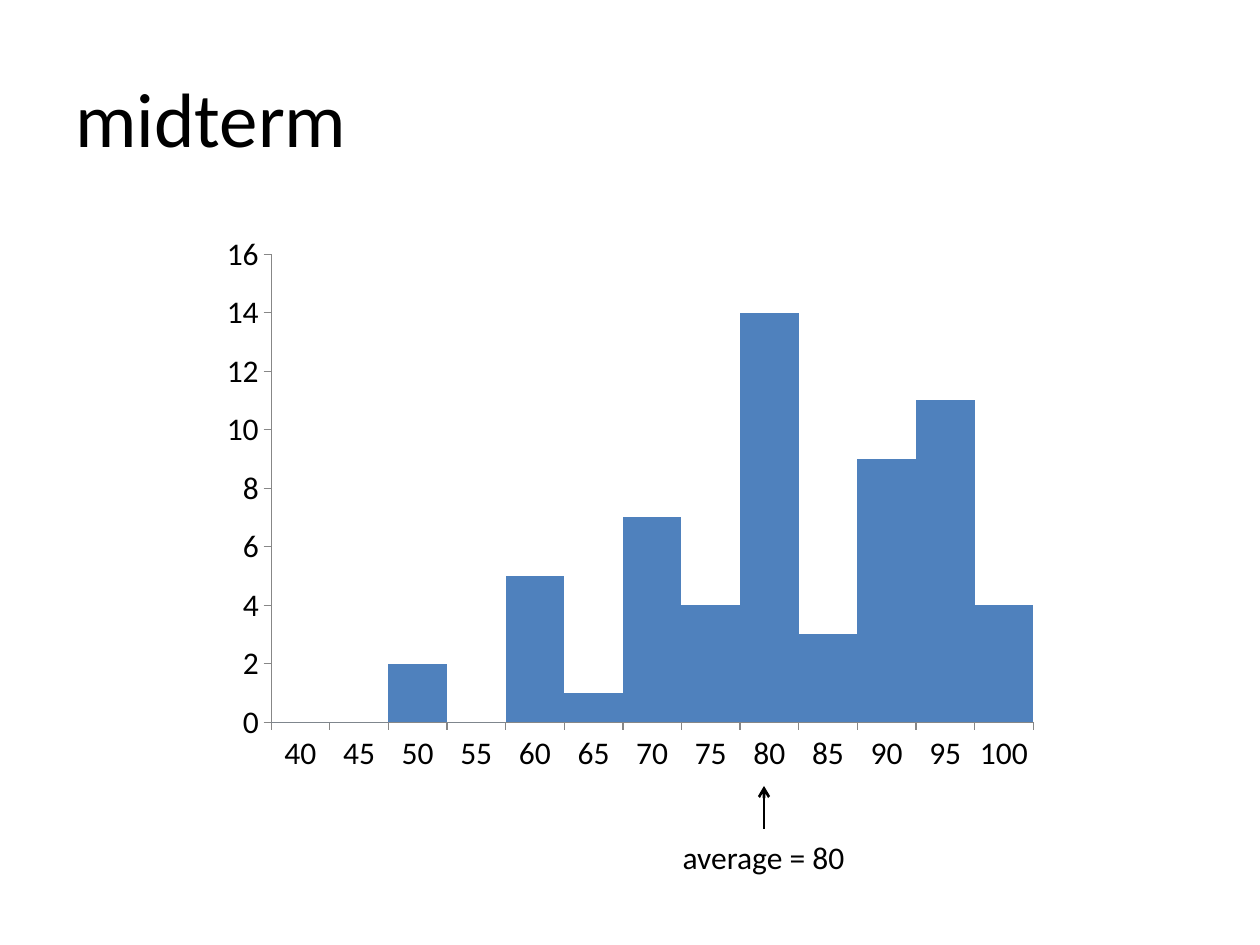
from lxml import etree
from pptx import Presentation
from pptx.chart.data import CategoryChartData
from pptx.dml.color import RGBColor
from pptx.enum.chart import XL_CHART_TYPE, XL_TICK_MARK
from pptx.enum.shapes import MSO_CONNECTOR
from pptx.enum.text import MSO_ANCHOR, PP_ALIGN
from pptx.oxml.ns import qn
from pptx.util import Emu, Pt

COLUMNS = XL_CHART_TYPE.COLUMN_CLUSTERED
TICK_OUT = XL_TICK_MARK.OUTSIDE
STRAIGHT = MSO_CONNECTOR.STRAIGHT
TOP, MIDDLE = MSO_ANCHOR.TOP, MSO_ANCHOR.MIDDLE
LEFT, CENTER = PP_ALIGN.LEFT, PP_ALIGN.CENTER

PX_PER_INCH = 126
FONT = "Calibri"
COLORS = {"text": "000000", "bars": "4F81BD", "axis": "878787"}


def px(*lengths):
    return [Emu(round(length * 914400 / PX_PER_INCH)) for length in lengths]


def style_font(font, size):
    values = {"name": FONT, "size": Pt(size), "bold": False}
    for name, value in values.items():
        setattr(font, name, value)
    font.color.rgb = RGBColor.from_string(COLORS["text"])


deck = Presentation()
deck.slide_width, deck.slide_height = px(1260, 945)
page = deck.slides.add_slide(deck.slide_layouts[6])

scores = CategoryChartData()
scores.categories = [str(score) for score in range(40, 101, 5)]
scores.add_series("Series 1", [0, 0, 2, 0, 5, 1, 7, 4, 14, 3, 9, 11, 4])
chart = page.shapes.add_chart(COLUMNS, *px(210, 224, 840, 560), scores).chart
chart.has_legend = False
chart.has_title = False
style_font(chart.font, 18)

plot = chart.plots[0]
plot.gap_width = 0
plot.vary_by_categories = False
bars = plot.series[0].format.fill
bars.solid()
bars.fore_color.rgb = RGBColor.from_string(COLORS["bars"])

axis_format = {
    "has_major_gridlines": False,
    "major_tick_mark": TICK_OUT,
}
for axis in (chart.category_axis, chart.value_axis):
    for name, value in axis_format.items():
        setattr(axis, name, value)
    axis.format.line.color.rgb = RGBColor.from_string(COLORS["axis"])
    axis.format.line.width = Pt(0.75)
chart.value_axis.minimum_scale = 0
chart.value_axis.maximum_scale = 16
chart.value_axis.major_unit = 2

labels = [
    ("midterm", (63, 38, 1134, 157), 44, LEFT, MIDDLE),
    ("average = 80", (635, 832, 257, 50), 18, CENTER, TOP),
]
for wording, place, size, alignment, anchor in labels:
    box = page.shapes.add_textbox(*px(*place))
    box.text_frame.word_wrap = True
    box.text_frame.vertical_anchor = anchor
    para = box.text_frame.paragraphs[0]
    para.alignment = alignment
    span = para.add_run()
    span.text = wording
    style_font(span.font, size)

arrow = page.shapes.add_connector(STRAIGHT, *px(764, 829, 764, 786))
arrow.line.color.rgb = RGBColor.from_string(COLORS["text"])
arrow.line.width = Pt(1.5)
etree.SubElement(arrow.line._get_or_add_ln(), qn("a:tailEnd"), type="arrow")
etree.SubElement(arrow._element.spPr, qn("a:effectLst"))

deck.save("out.pptx")
